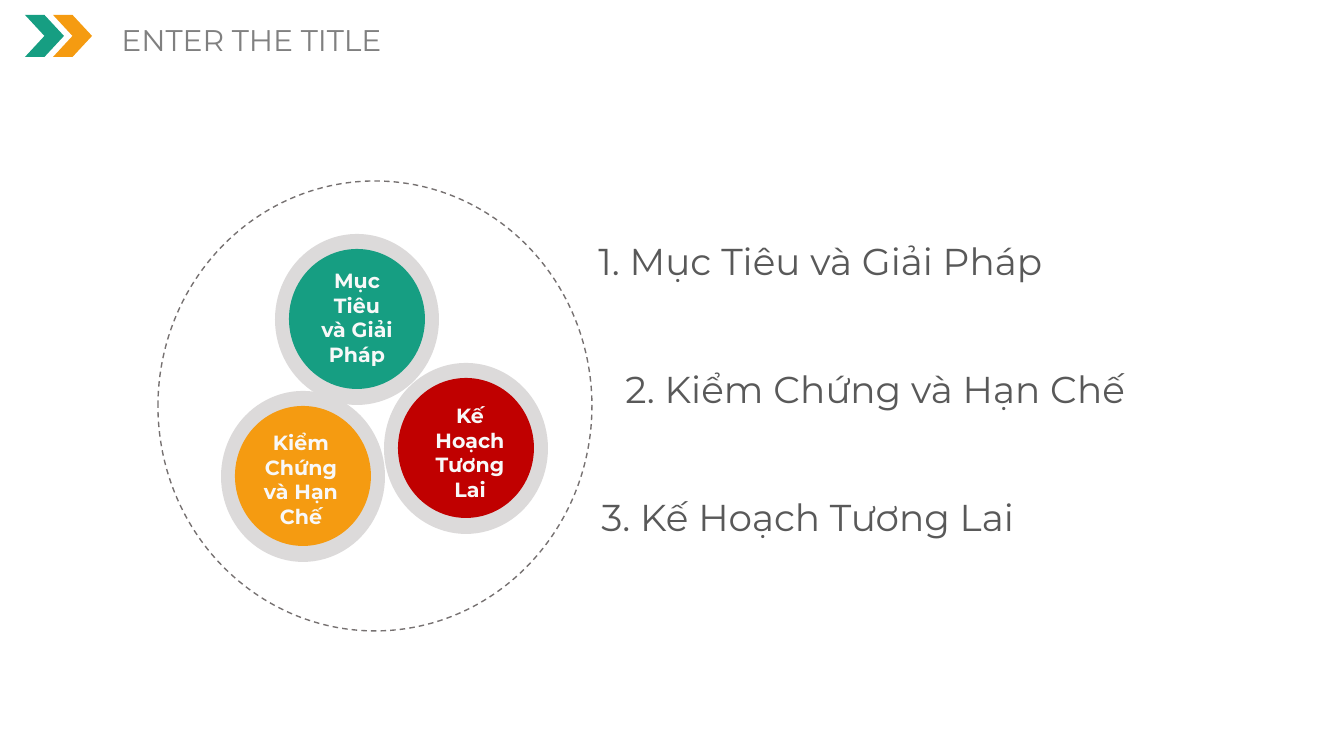
from dataclasses import dataclass

import pptx
import pptx.dml.color
import pptx.enum.dml
import pptx.enum.shapes
import pptx.enum.text
import pptx.util

EMU_PER_PX = 914400 / 134.4
COLORS = {
    "green": "169E82",
    "orange": "F59B11",
    "red": "C00000",
    "ring": "DCDADA",
    "orbit": "767171",
    "title": "808080",
    "label": "F8F8F8",
    "list": "595959",
}
SHAPES = pptx.enum.shapes.MSO_SHAPE
ALIGN = pptx.enum.text.PP_ALIGN
TITLE_FONT = {"name": "Montserrat", "size": pptx.util.Pt(16), "bold": False}
LABEL_FONT = {"name": "Montserrat", "size": pptx.util.Pt(11), "bold": True}
LIST_FONT = {"name": "Montserrat", "size": pptx.util.Pt(20), "bold": False}
RING_SIZE = (164, 171)
DISC_SIZE = (136, 140)
LABEL_HEIGHT = 109


@dataclass
class Box:
    left: int
    top: int
    width: int
    height: int


@dataclass
class Topic:
    text: str
    color: str
    center: tuple[int, int]
    label_left: int
    label_top: int
    label_width: int


@dataclass
class Item:
    text: str
    indent: int


def px(value: float) -> int:
    return round(value * EMU_PER_PX)


def rgb(name: str) -> pptx.dml.color.RGBColor:
    return pptx.dml.color.RGBColor.from_string(COLORS[name])


def emu(box: Box) -> list[int]:
    return [px(v) for v in (box.left, box.top, box.width, box.height)]


def place(sp, box: Box) -> None:
    for name, value in zip(("left", "top", "width", "height"), emu(box)):
        setattr(sp, name, value)


def centered(center: tuple[int, int], size: tuple[int, int]) -> Box:
    return Box(center[0] - size[0] // 2, center[1] - size[1] // 2, *size)


def add_filled(s, kind, box: Box, color: str) -> None:
    sp = s.shapes.add_shape(kind, *emu(box))
    sp.shadow.inherit = False
    sp.fill.solid()
    sp.fill.fore_color.rgb = rgb(color)
    sp.line.fill.background()


def add_orbit(s, box: Box) -> None:
    sp = s.shapes.add_shape(SHAPES.OVAL, *emu(box))
    sp.shadow.inherit = False
    sp.fill.background()
    sp.line.color.rgb = rgb("orbit")
    sp.line.width = pptx.util.Pt(0.75)
    sp.line.dash_style = pptx.enum.dml.MSO_LINE.DASH


def format_frame(tf, inset_x: float, inset_y: float) -> None:
    values = {
        "margin_left": pptx.util.Inches(inset_x),
        "margin_right": pptx.util.Inches(inset_x),
        "margin_top": pptx.util.Inches(inset_y),
        "margin_bottom": pptx.util.Inches(inset_y),
        "auto_size": pptx.enum.text.MSO_AUTO_SIZE.NONE,
        "vertical_anchor": pptx.enum.text.MSO_ANCHOR.TOP,
        "word_wrap": True,
    }
    for name, value in values.items():
        setattr(tf, name, value)


def write(p, text: str, font: dict, color: str, align=ALIGN.LEFT) -> None:
    p.alignment = align
    r = p.add_run()
    r.text = text
    for name, value in font.items():
        setattr(r.font, name, value)
    r.font.color.rgb = rgb(color)


def add_topic_disc(s, topic: Topic) -> None:
    add_filled(s, SHAPES.OVAL, centered(topic.center, RING_SIZE), "ring")
    add_filled(s, SHAPES.OVAL, centered(topic.center, DISC_SIZE), topic.color)


def add_topic_label(s, topic: Topic) -> None:
    box = Box(topic.label_left, topic.label_top, topic.label_width, LABEL_HEIGHT)
    tf = s.shapes.add_textbox(*emu(box)).text_frame
    format_frame(tf, 0.07, 0.03)
    write(tf.paragraphs[0], topic.text, LABEL_FONT, "label", ALIGN.CENTER)


def fill_title(sp, text: str, box: Box) -> None:
    place(sp, box)
    format_frame(sp.text_frame, 0.1, 0.05)
    write(sp.text_frame.paragraphs[0], text, TITLE_FONT, "title")


def fill_list(sp, items: list[Item], box: Box) -> None:
    place(sp, box)
    tf = sp.text_frame
    format_frame(tf, 0.07, 0.03)
    for i, item in enumerate(items):
        p = tf.paragraphs[0] if i == 0 else tf.add_paragraph()
        write(p, item.text, LIST_FONT, "list")
        p.space_before = pptx.util.Pt(0)
        p.space_after = pptx.util.Pt(44.7)
        pPr = p._p.get_or_add_pPr()
        pPr.set("marL", str(px(item.indent)))
        pPr.set("indent", "0")
        pPr.append(pptx.oxml.parse_xml(
            '<a:buNone xmlns:a="http://schemas.openxmlformats.org/drawingml/2006/main"/>'))


def main() -> None:
    prs = pptx.Presentation()
    prs.slide_width = px(1344)
    prs.slide_height = px(756)
    s = prs.slides.add_slide(prs.slide_layouts[1])

    for i, color in enumerate(("green", "orange")):
        add_filled(s, SHAPES.CHEVRON, Box(25 + 28 * i, 15, 39, 42), color)
    fill_title(s.shapes.title, "ENTER THE TITLE", Box(108, 15, 290, 50))

    add_orbit(s, Box(158, 181, 434, 450))
    topics = [
        Topic("Kiểm Chứng và Hạn Chế", "orange", (303, 476), 247, 426, 108),
        Topic("Kế Hoạch Tương Lai", "red", (466, 448), 424, 399, 92),
        Topic("Mục Tiêu và Giải Pháp", "green", (357, 319), 311, 264, 92),
    ]
    for topic in topics:
        add_topic_disc(s, topic)
    for topic in topics:
        add_topic_label(s, topic)

    items = [
        Item("1. Mục Tiêu và Giải Pháp", 0),
        Item("2. Kiểm Chứng và Hạn Chế", 27),
        Item("3. Kế Hoạch Tương Lai", 3),
    ]
    fill_list(s.placeholders[1], items, Box(589, 234, 640, 312))
    prs.save("out.pptx")


if __name__ == "__main__":
    main()
